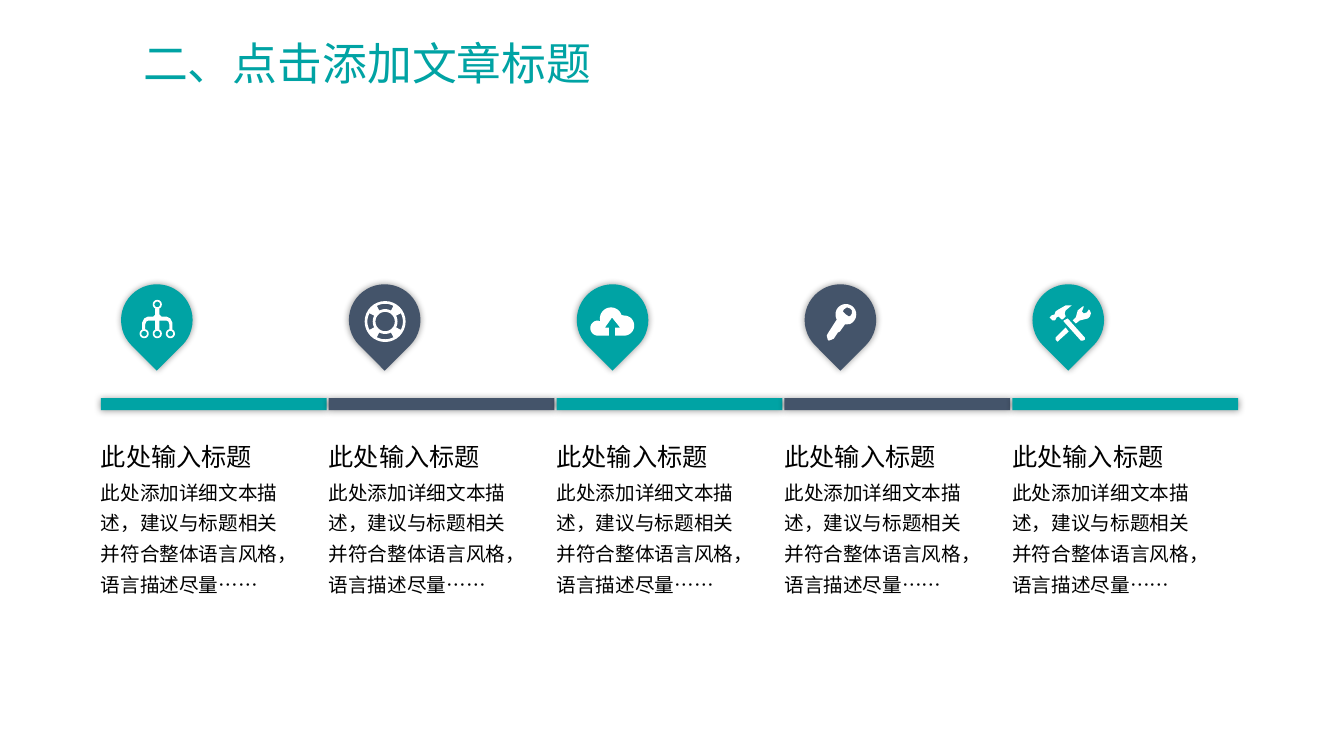
from math import cos, radians, sin

from lxml import etree
from pptx import Presentation
from pptx.dml.color import RGBColor
from pptx.enum.shapes import MSO_SHAPE as SHAPE
from pptx.enum.text import MSO_ANCHOR as ANCHOR, MSO_AUTO_SIZE as AUTO, PP_ALIGN as ALIGN
from pptx.oxml.ns import qn
from pptx.util import Inches, Pt

TEAL = RGBColor(0x00, 0xA3, 0xA4)
SLATE = RGBColor(0x44, 0x54, 0x6A)
WHITE = RGBColor(0xFF, 0xFF, 0xFF)
BLACK = RGBColor(0x00, 0x00, 0x00)

PITCH = 2.26
HEADING = "此处输入标题"
DETAIL = "此处添加详细文本描述，建议与标题相关并符合整体语言风格，语言描述尽量……"


def arc(cx, cy, r, start=0, end=360, steps=32):
    """Return points along a circular arc, angles in degrees clockwise."""
    angles = [radians(start + (end - start) * i / steps) for i in range(steps + 1)]
    return [(cx + r * cos(a), cy + r * sin(a)) for a in angles]


def network_icon():
    """Return a tree of four ringed nodes, in hundredths of an inch."""
    right_half = [(38, 24.5), (38, 30), (40, 32), (45, 32), (49, 34), (51, 38),
                  (51, 44.5), (48, 44.5), (48, 40), (47, 37), (45, 36),
                  (38, 36), (38, 44.5)]
    tree = right_half + [(72 - x, y) for x, y in reversed(right_half)]
    nodes = [(36, 20), (23, 49), (36, 49), (49, 49)]
    return [tree] + [arc(x, y, r) for x, y in nodes for r in (4.5, 2.8)]


def lifebuoy_icon():
    """Return a ring with four curved openings."""
    openings = [arc(36, 37, 12.3, a - 28, a + 28, 8) + arc(36, 37, 17.6, a + 28, a - 28, 8)
                for a in range(0, 360, 90)]
    return [arc(36, 37, 20.3), arc(36, 37, 9.6)] + openings


def cloud_icon():
    """Return a cloud with an upload arrow cut out of it."""
    lobes = arc(47, 41, 10, 90, -90) + arc(34, 34, 11, -18, -195) + arc(21, 43.5, 7.5, -90, -270)
    arrow = [(32, 51), (32, 43), (28, 43), (35, 33), (43, 43), (38, 43), (38, 51)]
    return [lobes + arrow]


def key_icon():
    """Return a key with a hole in its head."""
    shank = [(23, 49), (22, 51), (23, 55), (24, 56), (27, 55), (29, 54),
             (33, 48), (35, 47), (40, 40)]
    hole = [(46, 31), (44, 32), (41, 30), (38, 27), (39, 25), (42, 23),
            (45, 24), (47, 26), (47, 29)]
    return [arc(41, 30, 10.3, 68, -209) + shank, hole]


def tools_icon():
    """Return a crossed hammer and wrench."""
    hammer_head = [(24, 33), (26, 32), (29, 35), (30, 35), (33, 32), (32, 29),
                   (33, 26), (39, 21), (33, 21), (26, 25), (23, 27), (22, 30),
                   (19, 31), (17, 33), (20, 36), (22, 36), (23, 35)]
    hammer_handle = [(35, 34), (31, 36), (31, 37), (48, 56), (50, 56), (52, 55), (52, 53)]
    wrench_head = [(57, 26), (56, 25), (54, 28), (51, 29), (49, 27), (50, 25),
                   (51, 22), (50, 22), (45, 26), (43, 33), (40, 36), (43, 39),
                   (47, 36), (51, 35), (55, 34), (57, 32), (58, 29)]
    wrench_handle = [(23, 53), (23, 55), (25, 57), (26, 56), (36, 47), (33, 43)]
    return [hammer_head, hammer_handle, wrench_head, wrench_handle]


class Deck:
    """Hold the presentation style and the current slide."""

    font = "League Spartan"

    def __init__(self):
        """Create a widescreen presentation with one titled slide."""
        self.prs = Presentation()
        self.prs.slide_width, self.prs.slide_height = Inches(13.33), Inches(7.5)
        self.slide = self.prs.slides.add_slide(self.prs.slide_layouts[5])

    def format(self, p, size, color):
        """Apply the deck font to every run of a paragraph."""
        p.alignment = ALIGN.LEFT
        for r in p.runs:
            r.font.name, r.font.size = self.font, Pt(size)
            r.font.color.rgb = color

    def title(self, text, x, y, w, h):
        """Fill and place the title placeholder."""
        sp = self.slide.shapes.title
        sp.left, sp.top, sp.width, sp.height = map(Inches, (x, y, w, h))
        tf = sp.text_frame
        tf.text = text
        tf.word_wrap, tf.auto_size = False, AUTO.SHAPE_TO_FIT_TEXT
        tf.vertical_anchor = ANCHOR.TOP
        self.format(tf.paragraphs[0], 32, TEAL)

    def text(self, text, x, y, w, h, size, spacing=1.0):
        """Add a wrapping text box flush with its left edge."""
        tf = self.slide.shapes.add_textbox(*map(Inches, (x, y, w, h))).text_frame
        tf.text, tf.word_wrap = text, True
        tf.margin_left = tf.margin_top = tf.margin_bottom = 0
        p = tf.paragraphs[0]
        p.line_spacing = spacing
        self.format(p, size, BLACK)

    def shape(self, kind, x, y, w, h, color, rotation=0):
        """Add a filled shape with a soft shadow."""
        sp = self.slide.shapes.add_shape(kind, *map(Inches, (x, y, w, h)))
        sp.rotation = rotation
        self.paint(sp, color)
        effects = sp._element.spPr.find(qn("a:effectLst"))
        shadow = etree.SubElement(effects, qn("a:outerShdw"), blurRad=str(Pt(5)),
                                  dist="0", dir="0", algn="ctr", rotWithShape="0")
        black = etree.SubElement(shadow, qn("a:srgbClr"), val="000000")
        etree.SubElement(black, qn("a:alpha"), val="40000")

    def icon(self, contours, x, y):
        """Add a white freeform from contours in hundredths of an inch."""
        scaled = [[(Inches(px / 100), Inches(py / 100)) for px, py in c] for c in contours]
        builder = self.slide.shapes.build_freeform(*scaled[0][0])
        builder.add_line_segments(scaled[0][1:])
        for contour in scaled[1:]:
            builder.move_to(*contour[0])
            builder.add_line_segments(contour[1:])
        self.paint(builder.convert_to_shape(Inches(x), Inches(y)), WHITE)

    def paint(self, sp, color):
        """Give a shape a plain fill without line or inherited shadow."""
        sp.shadow.inherit = False
        sp.fill.solid()
        sp.fill.fore_color.rgb = color
        sp.line.fill.background()


def main():
    """Build the five-step timeline slide."""
    deck = Deck()
    deck.title("二、点击添加文章标题", 1.32, 0.3, 4.69, 0.64)
    icons = [network_icon(), lifebuoy_icon(), cloud_icon(), key_icon(), tools_icon()]
    for i, icon in enumerate(icons):
        x = 1 + PITCH * i
        color = SLATE if i % 2 else TEAL
        deck.shape(SHAPE.RECTANGLE, x, 3.95, 2.24, 0.12, color)
        deck.shape(SHAPE.TEAR, x + 0.2, 2.82, 0.71, 0.71, color, rotation=135)
        deck.icon(icon, x + 0.2, 2.82)
        deck.text(HEADING, x, 4.38, 1.78, 0.33, 18)
        deck.text(DETAIL, x, 4.7, 1.93, 1.07, 14, spacing=1.3)
    deck.prs.save("out.pptx")


if __name__ == "__main__":
    main()
